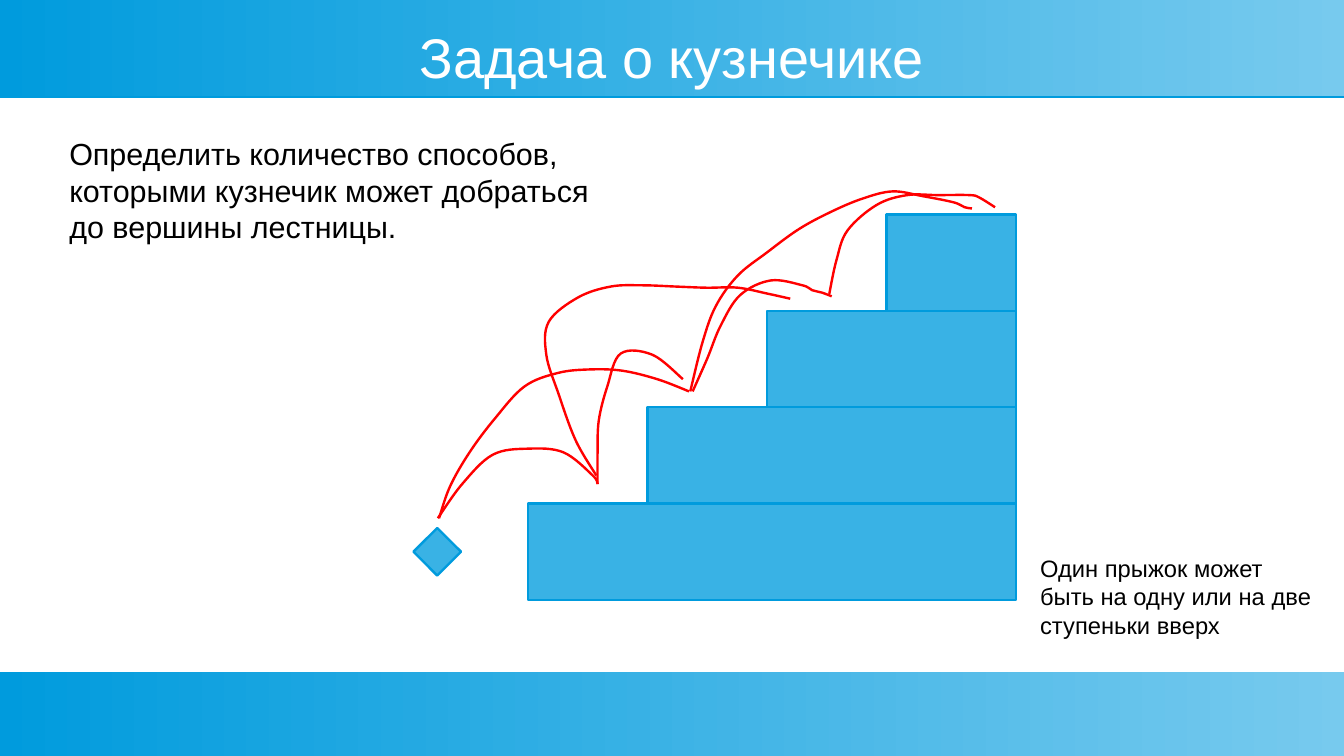
from pptx import Presentation
from pptx.dml.color import RGBColor
from pptx.enum.shapes import MSO_SHAPE
from pptx.enum.text import MSO_ANCHOR, MSO_AUTO_SIZE, PP_ALIGN
from pptx.oxml import parse_xml
from pptx.oxml.ns import nsdecls, qn
from pptx.util import Inches, Pt

RECTANGLE, DIAMOND = MSO_SHAPE.RECTANGLE, MSO_SHAPE.DIAMOND
MIDDLE, TOP = MSO_ANCHOR.MIDDLE, MSO_ANCHOR.TOP
CENTER, LEFT = PP_ALIGN.CENTER, PP_ALIGN.LEFT
NO_AUTOFIT = MSO_AUTO_SIZE.NONE

COLORS = {
    "accent": "009BDD",
    "light": "77CAEE",
    "step": "39B2E5",
    "jump": "FF0000",
    "title": "FFFFFF",
    "text": "000000",
}
SLIDE_WIDTH, SLIDE_HEIGHT = 11.02, 6.2
STEP_COUNT, STEP_DEPTH, STEP_RISE = 4, 0.98, 0.79
STAIRS_LEFT, STAIRS_RIGHT, LOWEST_STEP_TOP = 4.33, 8.33, 4.13

# Points each jump passes through, in inches.
JUMPS = [
    [(3.59, 4.25), (3.79, 3.97), (4.04, 3.73), (4.33, 3.68), (4.62, 3.71),
     (4.86, 3.9), (4.9, 3.97)],
    [(3.6, 4.25), (3.69, 3.99), (3.85, 3.71), (4.06, 3.43), (4.3, 3.17),
     (4.57, 3.06), (4.83, 3.03), (5.1, 3.04), (5.39, 3.11), (5.65, 3.21)],
    [(5.66, 3.21), (5.76, 2.81), (5.87, 2.51), (6.05, 2.26), (6.29, 2.07),
     (6.55, 1.88), (6.81, 1.74), (7.07, 1.63), (7.32, 1.57), (7.57, 1.61),
     (7.82, 1.66), (7.91, 1.7), (7.97, 1.71)],
    [(5.68, 3.21), (5.8, 2.94), (5.91, 2.67), (6.07, 2.42), (6.32, 2.3),
     (6.58, 2.34), (6.66, 2.38), (6.74, 2.4), (6.82, 2.43)],
    [(4.9, 3.97), (4.9, 3.72), (4.91, 3.45), (4.98, 3.17), (5.09, 2.9),
     (5.35, 2.91), (5.6, 3.11)],
    [(6.8, 2.41), (6.86, 2.13), (6.95, 1.89), (7.19, 1.68), (7.44, 1.6),
     (7.69, 1.6), (7.95, 1.6), (8.03, 1.62), (8.16, 1.7)],
    [(4.89, 3.9), (4.72, 3.61), (4.58, 3.23), (4.48, 2.91), (4.5, 2.64),
     (4.74, 2.44), (5.01, 2.35), (5.27, 2.34), (5.53, 2.35), (5.79, 2.36),
     (6.05, 2.36), (6.3, 2.41), (6.48, 2.45)],
]


def color(name):
    return RGBColor.from_string(COLORS[name])


def smooth(shape):
    """Turn the straight segments of a freeform into curves through its points."""
    outline = next(shape._element.iter(qn("a:path")))
    points = [(int(point.get("x")), int(point.get("y")))
              for point in outline.iter(qn("a:pt"))]
    padded = [points[0], *points, points[-1]]
    segments = outline.findall(qn("a:lnTo"))
    for segment, before, start, end, after in zip(
            segments, padded, padded[1:], padded[2:], padded[3:]):
        controls = [
            [s + (e - b) // 6 for b, s, e in zip(before, start, end)],
            [e - (a - s) // 6 for s, e, a in zip(start, end, after)],
            end,
        ]
        markup = "".join(f'<a:pt x="{x}" y="{y}"/>' for x, y in controls)
        outline.replace(segment, parse_xml(
            f'<a:cubicBezTo {nsdecls("a")}>{markup}</a:cubicBezTo>'))


class SlideBuilder:
    font, line_width = "Arial", Pt(1.42)

    def __init__(self, slide):
        self.slide = slide

    def style_line(self, shape, line_color):
        shape.shadow.inherit = False
        shape.line.color.rgb = color(line_color)
        shape.line.width = self.line_width

    def fill_text(self, shape, text, size, text_color, alignment, anchor):
        frame = shape.text_frame
        frame.word_wrap = True
        frame.auto_size = NO_AUTOFIT
        frame.vertical_anchor = anchor
        paragraph = frame.paragraphs[0]
        paragraph.alignment = alignment
        run = paragraph.add_run()
        run.text = text
        run.font.name = self.font
        run.font.size = Pt(size)
        run.font.color.rgb = color(text_color)

    def title(self, text, left, top, width, height):
        shape = self.slide.shapes.title
        shape.left, shape.top = Inches(left), Inches(top)
        shape.width, shape.height = Inches(width), Inches(height)
        self.fill_text(shape, text, 33, "title", CENTER, MIDDLE)
        frame = shape.text_frame
        frame.margin_left = frame.margin_right = 0
        frame.margin_top = frame.margin_bottom = 0

    def text(self, text, left, top, width, height, size):
        shape = self.slide.shapes.add_textbox(
            Inches(left), Inches(top), Inches(width), Inches(height))
        self.fill_text(shape, text, size, "text", LEFT, TOP)

    def band(self, top, height):
        """Full-width gradient bar with a thin shadow edge, behind the title."""
        shape = self.slide.shapes.add_shape(
            RECTANGLE, 0, Inches(top), Inches(SLIDE_WIDTH), Inches(height))
        shape.line.fill.background()
        shape.fill.gradient()
        shape.fill.gradient_angle = 0
        for stop, name in zip(shape.fill.gradient_stops, ("accent", "light")):
            stop.color.rgb = color(name)
        shape.shadow.inherit = False
        effects = shape._element.spPr.find(qn("a:effectLst"))
        effects.append(parse_xml(
            f'<a:outerShdw {nsdecls("a")} blurRad="0" dist="{Pt(0.9)}" '
            f'dir="5400000"><a:srgbClr val="{COLORS["accent"]}"/></a:outerShdw>'))
        self.slide.shapes._spTree.insert(2, shape._element)

    def block(self, kind, left, top, width, height):
        shape = self.slide.shapes.add_shape(
            kind, Inches(left), Inches(top), Inches(width), Inches(height))
        shape.fill.solid()
        shape.fill.fore_color.rgb = color("step")
        self.style_line(shape, "accent")

    def jump(self, points):
        start, *rest = [(Inches(x), Inches(y)) for x, y in points]
        builder = self.slide.shapes.build_freeform(*start)
        builder.add_line_segments(rest, close=False)
        shape = builder.convert_to_shape()
        shape.fill.background()
        self.style_line(shape, "jump")
        smooth(shape)


def main():
    presentation = Presentation()
    presentation.slide_width = Inches(SLIDE_WIDTH)
    presentation.slide_height = Inches(SLIDE_HEIGHT)
    title_only = presentation.slide_layouts[5]
    builder = SlideBuilder(presentation.slides.add_slide(title_only))

    builder.band(0, 0.79)
    builder.band(5.51, 0.69)
    builder.title("Задача о кузнечике", 0.39, 0.2, 10.24, 0.52)
    for step in range(STEP_COUNT):
        left = STAIRS_LEFT + step * STEP_DEPTH
        top = LOWEST_STEP_TOP - step * STEP_RISE
        builder.block(RECTANGLE, left, top, STAIRS_RIGHT - left, STEP_RISE)
    builder.block(DIAMOND, 3.39, 4.33, 0.39, 0.39)
    for points in JUMPS:
        builder.jump(points)
    builder.text("Определить количество способов, которыми кузнечик может "
                 "добраться до вершины лестницы.", 0.47, 1.06, 4.53, 1.18, 18)
    builder.text("Один прыжок может быть на одну или на две ступеньки вверх",
                 8.43, 4.49, 2.48, 0.94, 14)
    presentation.save("out.pptx")


if __name__ == "__main__":
    main()
